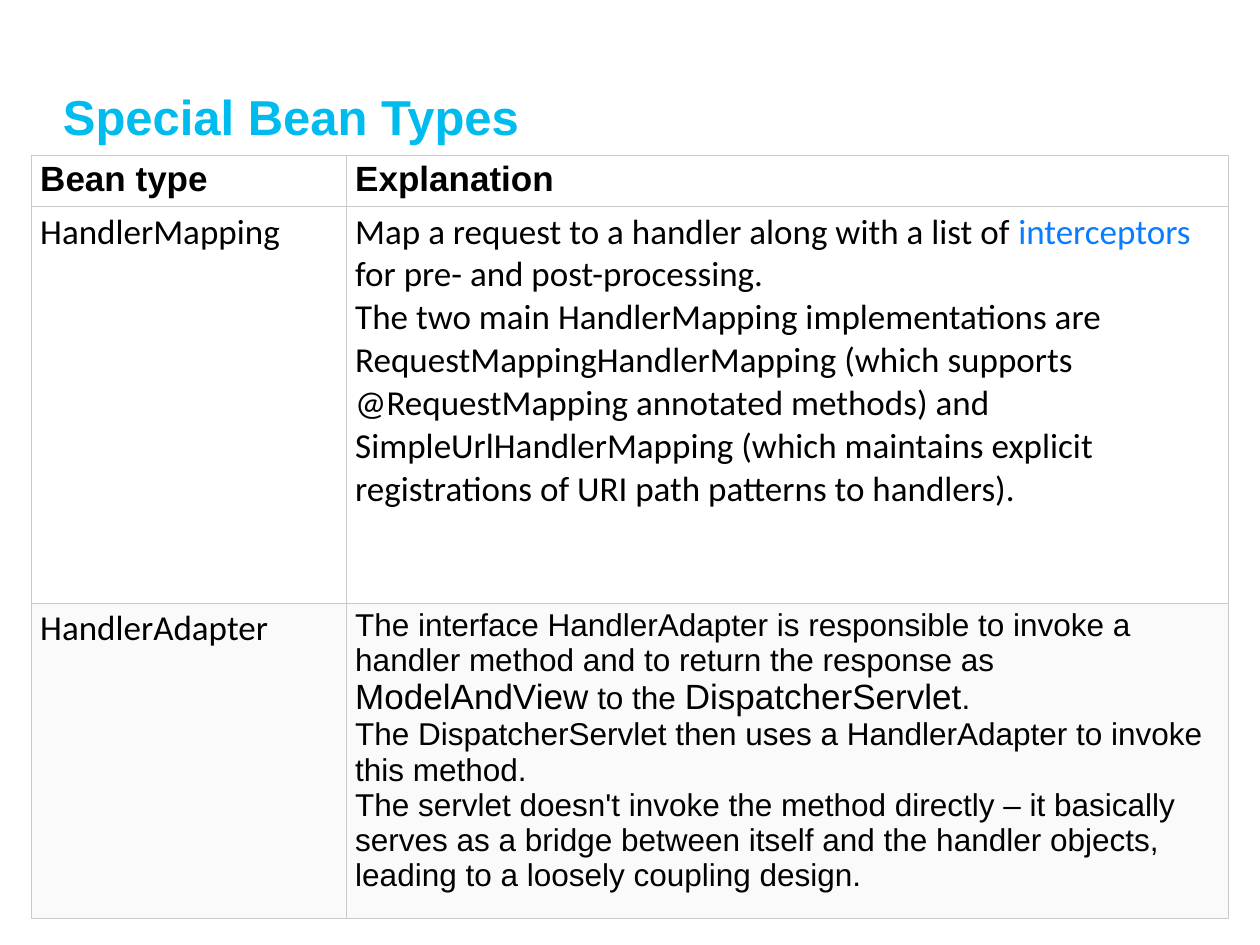
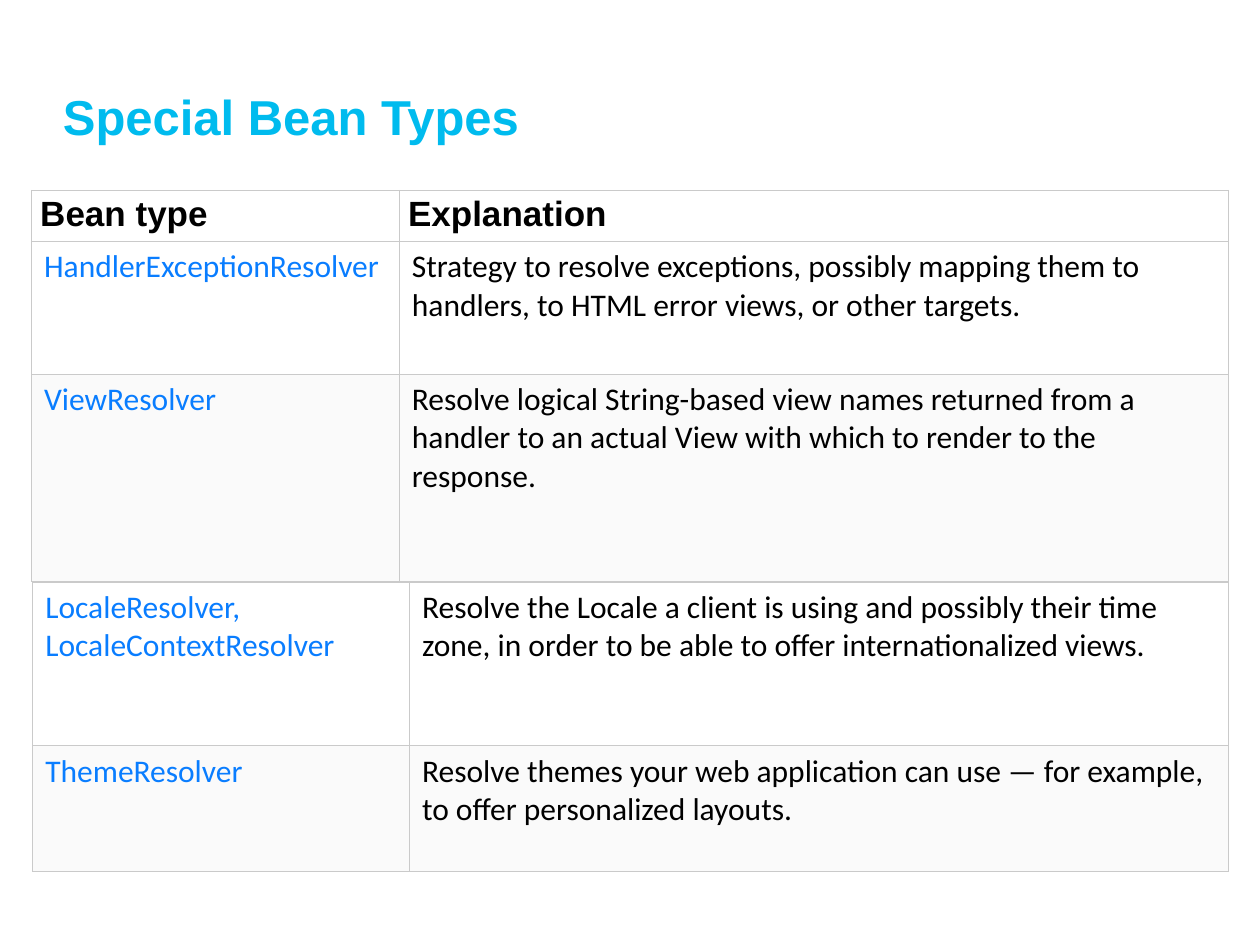
from dataclasses import dataclass, replace

from lxml.etree import SubElement
from pptx import Presentation
from pptx.dml.color import RGBColor
from pptx.enum.text import MSO_ANCHOR as Anchor
from pptx.oxml.ns import qn
from pptx.slide import Slide
from pptx.table import _Cell as Cell
from pptx.util import Pt

TITLE_COLOR = "00BBEE"
LINK = "097DFF"
BLACK = "000000"
BORDER = "CACACA"
WHITE = "FFFFFF"
SHADE = "FAFAFA"


@dataclass(frozen=True)
class Span:
    text: str
    size: float = 18
    face: str = "Calibri"
    color: str = BLACK
    bold: bool = False


@dataclass(frozen=True)
class Row:
    height: float
    bean: list[list[Span]]
    explanation: list[list[Span]]
    fill: str = WHITE
    insets: tuple[float, float] = (7.2, 3.6)


@dataclass(frozen=True)
class BeanTable:
    left: float
    top: float
    widths: tuple[float, float]
    rows: list[Row]


TIGHT = (5, 2.6)


def rgb(value: str) -> RGBColor:
    return RGBColor.from_string(value)


def large(text: str) -> Span:
    return Span(text, size=20)


def arial(text: str, size: float = 18) -> Span:
    return Span(text, size, "Arial")


def heading(text: str) -> list[list[Span]]:
    return [[Span(text, 20, "Arial", bold=True)]]


def linked_row(height: float, bean: str, explanation: str, fill: str = WHITE) -> Row:
    return Row(height, [[Span(bean, color=LINK)]], [[Span(explanation)]], fill)


def write(frame, paragraphs: list[list[Span]]) -> None:
    for index, spans in enumerate(paragraphs):
        paragraph = frame.add_paragraph() if index else frame.paragraphs[0]
        for span in spans:
            run = paragraph.add_run()
            run.text = span.text
            run.font.size = Pt(span.size)
            run.font.name = span.face
            run.font.bold = span.bold
            run.font.color.rgb = rgb(span.color)


def outline(cell: Cell) -> None:
    properties = cell._tc.get_or_add_tcPr()
    for position, side in enumerate(("a:lnL", "a:lnR", "a:lnT", "a:lnB")):
        edge = SubElement(properties, qn(side), w=str(Pt(0.6)))
        fill = SubElement(edge, qn("a:solidFill"))
        SubElement(fill, qn("a:srgbClr"), val=BORDER)
        properties.insert(position, edge)


def draw_title(slide: Slide, text: str) -> None:
    frame = slide.shapes.add_textbox(Pt(36), Pt(14.4), Pt(648), Pt(68.4)).text_frame
    frame.word_wrap = True
    frame.vertical_anchor = Anchor.BOTTOM
    frame.margin_left = frame.margin_right = Pt(0)
    frame.margin_top = frame.margin_bottom = Pt(0)
    write(frame, [[Span(text, 28, "Arial", TITLE_COLOR, True)]])
    frame.paragraphs[0].line_spacing = Pt(26)


def draw_table(slide: Slide, beans: BeanTable) -> None:
    height = sum(row.height for row in beans.rows)
    table = slide.shapes.add_table(
        len(beans.rows), len(beans.widths),
        Pt(beans.left), Pt(beans.top), Pt(sum(beans.widths)), Pt(height),
    ).table
    table.first_row = table.horz_banding = False
    for column, width in zip(table.columns, beans.widths):
        column.width = Pt(width)
    for index, row in enumerate(beans.rows):
        table.rows[index].height = Pt(row.height)
        side, edge = row.insets
        for cell, paragraphs in zip(table.rows[index].cells, (row.bean, row.explanation)):
            cell.margin_left = cell.margin_right = Pt(side)
            cell.margin_top = cell.margin_bottom = Pt(edge)
            cell.fill.solid()
            cell.fill.fore_color.rgb = rgb(row.fill)
            outline(cell)
            write(cell.text_frame, paragraphs)


HEADER = Row(27.4, heading("Bean type"), heading("Explanation"), insets=TIGHT)

HANDLER_MAPPING = Row(
    226.8,
    [[large("HandlerMapping")]],
    [
        [
            large("Map a request to a handler along with a list of "),
            replace(large("interceptors"), color=LINK),
            large(" for pre- and post-processing."),
        ],
        [large(
            "The two main HandlerMapping implementations "
            "are RequestMappingHandlerMapping (which "
            "supports @RequestMapping annotated methods) "
            "and SimpleUrlHandlerMapping (which maintains explicit "
            "registrations of URI path patterns to handlers)."
        )],
    ],
    insets=TIGHT,
)

HANDLER_ADAPTER = Row(
    168.5,
    [[large("HandlerAdapter")]],
    [
        [
            arial(
                "The interface HandlerAdapter is responsible to invoke a "
                "handler method and to return the response as "
            ),
            arial("ModelAndView", 20),
            arial(" to the "),
            arial("DispatcherServlet", 20),
            arial("."),
        ],
        [arial("The DispatcherServlet then uses a HandlerAdapter to invoke this method.")],
        [arial(
            "The servlet doesn't invoke the method directly – it basically "
            "serves as a bridge between itself and the handler objects, "
            "leading to a loosely coupling design."
        )],
    ],
    SHADE,
    TIGHT,
)

HANDLERS = BeanTable(18, 88.6, (180, 504), [HEADER, HANDLER_MAPPING, HANDLER_ADAPTER])

VIEW_RESOLVERS = BeanTable(18, 108.7, (210.2, 473.8), [
    HEADER,
    linked_row(
        75.8,
        "HandlerExceptionResolver",
        "Strategy to resolve exceptions, possibly mapping them to "
        "handlers, to HTML error views, or other targets.",
    ),
    linked_row(
        118.8,
        "ViewResolver",
        "Resolve logical String-based view names returned from a "
        "handler to an actual View with which to render to the response.",
        SHADE,
    ),
])

CLIENT_RESOLVERS = BeanTable(18.7, 332.6, (215.3, 468), [
    linked_row(
        93.6,
        "LocaleResolver, LocaleContextResolver",
        "Resolve the Locale a client is using and possibly their time "
        "zone, in order to be able to offer internationalized views.",
    ),
    linked_row(
        72,
        "ThemeResolver",
        "Resolve themes your web application can use — for example, "
        "to offer personalized layouts.",
        SHADE,
    ),
])


def main() -> None:
    deck = Presentation()
    deck.slide_width, deck.slide_height = Pt(720), Pt(540)
    for tables in ([HANDLERS], [VIEW_RESOLVERS, CLIENT_RESOLVERS]):
        slide = deck.slides.add_slide(deck.slide_layouts[6])
        draw_title(slide, "Special Bean Types")
        for beans in tables:
            draw_table(slide, beans)
    deck.save("out.pptx")


if __name__ == "__main__":
    main()
